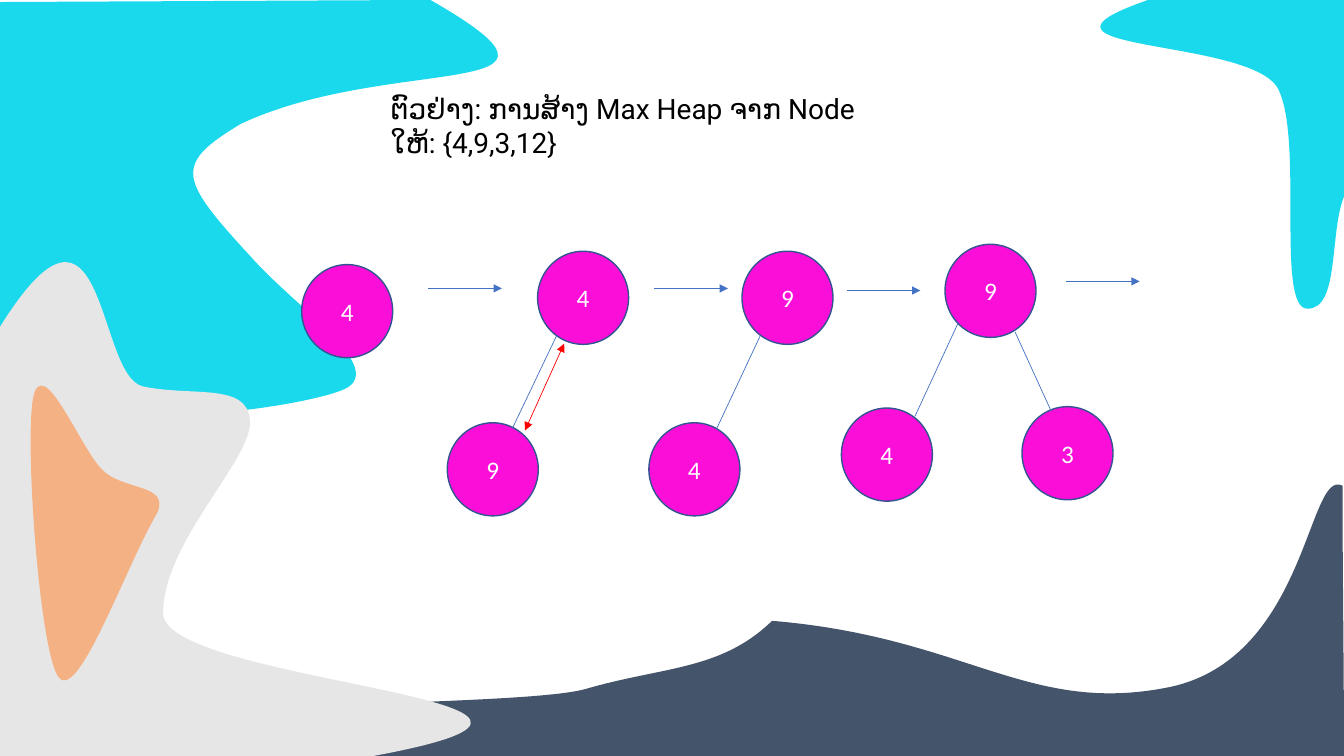
from dataclasses import dataclass
from lxml import etree
from pptx import Presentation
from pptx.dml.color import RGBColor as Rgb
from pptx.enum.shapes import MSO_CONNECTOR as Link, MSO_SHAPE as Preset
from pptx.enum.text import MSO_ANCHOR as Anchor, PP_ALIGN as Align
from pptx.oxml.ns import qn
from pptx.util import Pt


@dataclass(frozen=True)
class Theme:
    navy: str = "44546A"
    cyan: str = "1BD9ED"
    grey: str = "E7E6E6"
    orange: str = "F4B183"
    node: str = "FA0ED8"
    node_border: str = "325491"
    edge: str = "4472C4"
    swap: str = "FF0000"
    heading: str = "000000"
    label: str = "FFFFFF"
    heading_font: str = "Roboto"
    label_font: str = "Calibri"
    heading_size: int = 20
    label_size: int = 18


theme = Theme()

HEADING = ["ຕົວຢ່າງ: ການສ້າງ Max Heap ຈາກ Node", "ໃຫ້: {4,9,3,12}"]
HEADING_BOX = (272, 60.5, 416, 67.5)

BLOBS = [
    (theme.navy, (150.5, 345.5, 809.5, 194.5), [
        (419, 492),
        (474, 476, 515, 479, 551.5, 443.5), (690, 455, 734, 511, 834.5, 491),
        (934, 471, 934, 333.5, 959, 347), (959, 411, 960, 475, 960, 540),
        (224, 540), (-4, 496, 365, 508, 419, 492)]),
    (theme.cyan, (0, 0, 355.5, 297), [
        (0, 1.5),
        (307.5, 0), (435.5, 73.5, 280, 38, 172, 88.5),
        (123, 118, 127.5, 127.5, 182, 186.5), (213, 220.5, 277, 263.5, 246, 278),
        (216, 291.5, 52, 316, 0, 271.5)]),
    (theme.grey, (0, 187, 336, 353), [
        (0, 233.5),
        (76, 111.5, 68.5, 268.5, 102, 276), (137, 283.5, 176.5, 273, 178.5, 300),
        (181.5, 327, 116.5, 386.5, 116.5, 438), (116.5, 489, 486.5, 499.5, 266.5, 540),
        (0, 540)]),
    (theme.cyan, (786, 0, 174, 220.5), [
        (820, 0),
        (960, 0), (960, 140.5), (949.5, 167, 957, 220.5, 934, 220.5),
        (911, 220.5, 931.5, 100, 913, 63.5), (894, 26.5, 712, 37.5, 820, 0)]),
    (theme.orange, (22.5, 275, 92, 210.5), [
        (25, 279.5),
        (34, 259, 58.5, 322, 73.5, 336), (88, 350.5, 121, 345.5, 112.5, 366),
        (89.5, 405.5, 57, 499, 42.5, 484.5), (28, 470, 16, 299.5, 25, 279.5)]),
]

NODE_SIZE = (65, 66.5)
NODES = [
    ("4", 215.5, 189),
    ("4", 384, 179.5), ("9", 319.5, 302),
    ("9", 530, 179.5), ("4", 463.5, 302),
    ("9", 675, 174.5), ("4", 601, 291.5), ("3", 730, 290.5),
]
EDGES = [
    (397.5, 240, 366, 306), (543, 240, 512, 306),
    (684.5, 230.5, 653.5, 297.5), (725, 237, 751, 294),
]
SWAP = (403, 245.5, 375, 307.5)
STEP_LENGTH = 52.5
STEPS = [(306, 206), (467.5, 206), (605, 207.5), (761.5, 201)]


def add_blob(slide, colour, box, segments):
    left, top, width, height = box
    right, bottom = left + width, top + height
    corners = [(right, top), (right, bottom), (left, bottom)]
    pen = slide.shapes.build_freeform(Pt(left), Pt(top))
    pen.add_line_segments([(Pt(x), Pt(y)) for x, y in corners])
    blob = pen.convert_to_shape()
    outline = blob._element.spPr.find(".//" + qn("a:path"))
    for step in list(outline):
        outline.remove(step)
    for index, segment in enumerate(segments):
        kind = "moveTo" if index == 0 else "lnTo" if len(segment) == 2 else "cubicBezTo"
        step = etree.SubElement(outline, qn(f"a:{kind}"))
        for x, y in zip(segment[::2], segment[1::2]):
            etree.SubElement(step, qn("a:pt"), x=str(Pt(x - left)), y=str(Pt(y - top)))
    etree.SubElement(outline, qn("a:close"))
    blob.shadow.inherit = False
    blob.fill.solid()
    blob.fill.fore_color.rgb = Rgb.from_string(colour)
    blob.line.fill.background()


def style_runs(paragraph, font_name, size, colour):
    for run in paragraph.runs:
        run.font.name = font_name
        run.font.size = Pt(size)
        run.font.color.rgb = Rgb.from_string(colour)


def add_heading(slide):
    frame = slide.shapes.add_textbox(*map(Pt, HEADING_BOX)).text_frame
    frame.word_wrap = True
    frame.vertical_anchor = Anchor.TOP
    frame.margin_top = Pt(5)
    frame.text = "\n".join(HEADING)
    for paragraph in frame.paragraphs:
        style_runs(paragraph, theme.heading_font, theme.heading_size, theme.heading)


def add_node(slide, value, left, top):
    node = slide.shapes.add_shape(Preset.OVAL, *map(Pt, (left, top, *NODE_SIZE)))
    node.shadow.inherit = False
    node.fill.solid()
    node.fill.fore_color.rgb = Rgb.from_string(theme.node)
    node.line.color.rgb = Rgb.from_string(theme.node_border)
    node.line.width = Pt(1)
    frame = node.text_frame
    frame.vertical_anchor = Anchor.MIDDLE
    frame.text = value
    paragraph = frame.paragraphs[0]
    paragraph.alignment = Align.CENTER
    style_runs(paragraph, theme.label_font, theme.label_size, theme.label)


def add_link(slide, ends, colour, arrowheads=()):
    link = slide.shapes.add_connector(Link.STRAIGHT, *map(Pt, ends))
    link.line.color.rgb = Rgb.from_string(colour)
    link.line.width = Pt(0.5)
    outline = link.line._get_or_add_ln()
    for arrowhead in arrowheads:
        etree.SubElement(outline, qn(f"a:{arrowhead}"), type="triangle")
    etree.SubElement(link._element.spPr, qn("a:effectLst"))


def main():
    deck = Presentation()
    deck.slide_width, deck.slide_height = Pt(960), Pt(540)
    slide = deck.slides.add_slide(deck.slide_layouts[6])
    for blob in BLOBS:
        add_blob(slide, *blob)
    add_heading(slide)
    for node in NODES:
        add_node(slide, *node)
    for edge in EDGES:
        add_link(slide, edge, theme.edge)
    add_link(slide, SWAP, theme.swap, ("headEnd", "tailEnd"))
    for x, y in STEPS:
        add_link(slide, (x, y, x + STEP_LENGTH, y), theme.edge, ("tailEnd",))
    deck.save("out.pptx")


if __name__ == "__main__":
    main()
